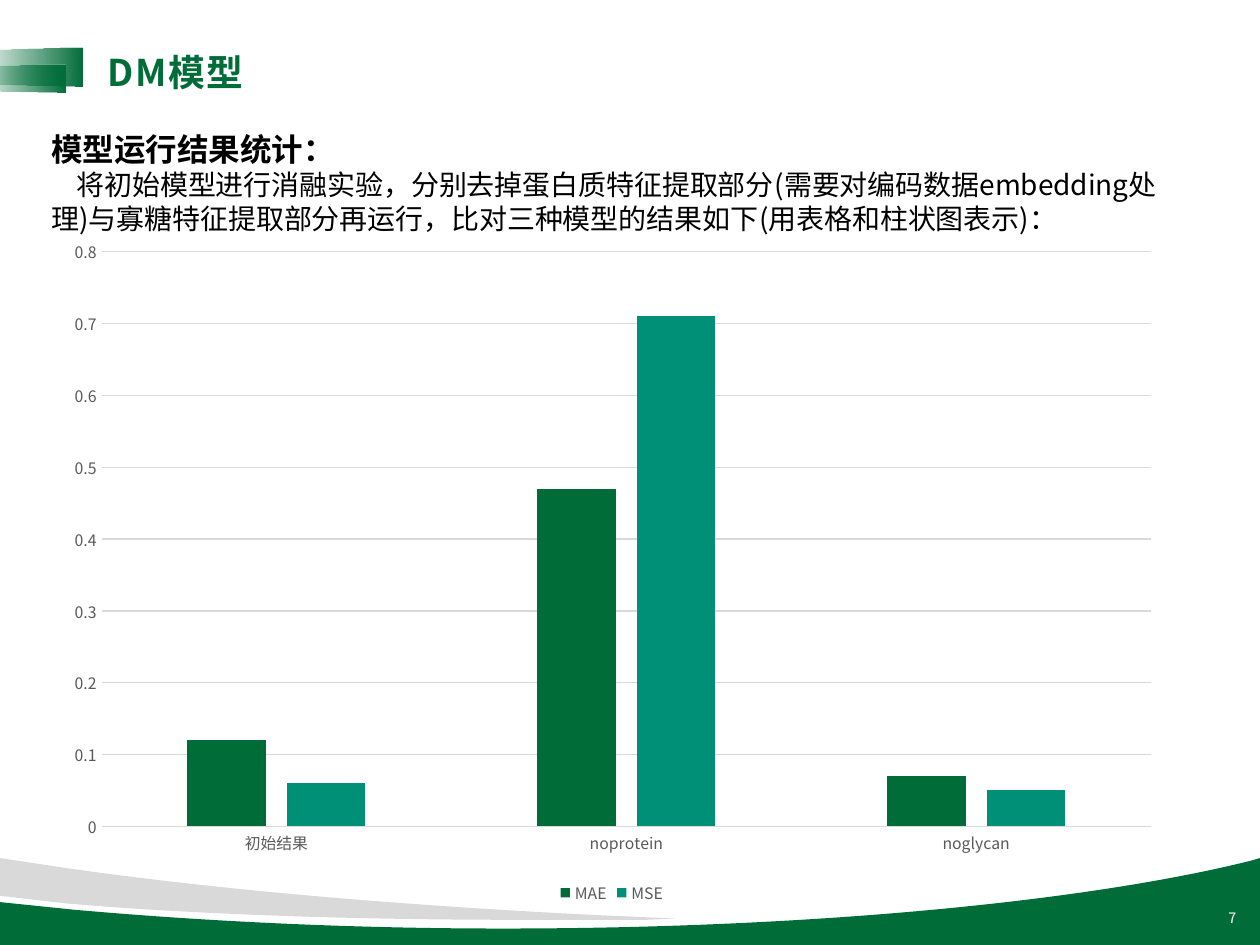
from lxml import etree
from pptx import Presentation
from pptx.chart import data
from pptx.dml import color
from pptx.enum import chart as kinds, shapes, text
from pptx.oxml import ns, parse_xml
from pptx.util import Pt

GREEN = color.RGBColor(0x00, 0x6D, 0x39)
TEAL = color.RGBColor(0x00, 0x8F, 0x77)
SILVER = color.RGBColor(0xD9, 0xD9, 0xD9)
GREY = color.RGBColor(0x59, 0x59, 0x59)
BLACK = color.RGBColor(0, 0, 0)
WHITE = color.RGBColor(255, 255, 255)
FONT = "Noto Sans CJK SC"
WIDTH, HEIGHT = 720, 540


def add_wave(page, outline, fill):
    """Draw a closed wave from straight (one-point) and curved (three-point) parts."""
    points = [(Pt(x), Pt(y)) for part in outline for x, y in part]
    builder = page.shapes.build_freeform(*points[0])
    builder.add_line_segments(points[1:], close=True)
    wave = builder.convert_to_shape()
    wave.shadow.inherit = False
    wave.fill.solid()
    wave.fill.fore_color.rgb = fill
    wave.line.fill.background()
    segments = iter(list(wave._element.iter(ns.qn("a:lnTo"))))
    for part in outline[1:]:
        group = [next(segments) for _ in part]
        if len(part) == 3:
            curve = etree.Element(ns.qn("a:cubicBezTo"))
            group[0].addprevious(curve)
            for segment in group:
                curve.append(segment[0])
                segment.getparent().remove(segment)


def add_footer_waves(page, width, height):
    """Draw the green and silver waves along the foot of the page."""
    add_wave(page, [
        [(width, 490.3)], [(width, height)], [(0, height)], [(0, 515.5)], [(41.8, 519.8)],
        [(114.5, 526.3), (198.7, 530.6), (287.3, 530.6)],
        [(465.8, 530.6), (622.8, 514.8), (715, 491.8)]], GREEN)
    add_wave(page, [
        [(0, 490.3)], [(38.2, 496.1)], [(123.8, 508.3), (224.6, 517), (336.2, 522.7)],
        [(385.9, 524.9)], [(369.4, 525.6)], [(345.6, 525.6), (321.1, 525.6), (295.9, 525.6)],
        [(195.1, 525.6), (103.7, 522), (37.4, 516.2)], [(0, 511.9)]], SILVER)


def add_fading_tab(page, left, top, width, height):
    """Place a turned trapezoid that fades out towards the left."""
    tab = page.shapes.add_shape(shapes.MSO_SHAPE.TRAPEZOID, Pt(left), Pt(top),
                                Pt(width), Pt(height))
    tab.rotation = 270
    tab.adjustments[0] = 0.072
    tab.shadow.inherit = False
    tab.line.fill.background()
    gradient = parse_xml(
        f'<a:gradFill {ns.nsdecls("a")} rotWithShape="1"><a:gsLst>'
        f'<a:gs pos="0"><a:srgbClr val="{GREEN}"><a:alpha val="0"/></a:srgbClr></a:gs>'
        f'<a:gs pos="100000"><a:srgbClr val="{GREEN}"/></a:gs>'
        '</a:gsLst><a:lin ang="5400000" scaled="0"/></a:gradFill>')
    tab._element.spPr.find(ns.qn("a:prstGeom")).addnext(gradient)


def add_box(page, left, top, width, height, anchor=text.MSO_ANCHOR.TOP):
    """Add a wrapping text box and return its frame."""
    box = page.shapes.add_textbox(Pt(left), Pt(top), Pt(width), Pt(height))
    box.text_frame.word_wrap = True
    box.text_frame.vertical_anchor = anchor
    return box.text_frame


def add_span(para, words, size, fill, bold=False):
    """Add one styled run and return it."""
    span = para.add_run()
    span.text = words
    span.font.size = Pt(size)
    span.font.bold = bold
    span.font.name = FONT
    span.font.color.rgb = fill
    etree.SubElement(span.font._element, ns.qn("a:ea")).set("typeface", FONT)
    return span


def add_title(page, left, top, width, height):
    """Write the letter-spaced page title."""
    para = add_box(page, left, top, width, height).paragraphs[0]
    span = add_span(para, "DM模型", 21, GREEN, True)
    span.font._element.set("spc", "100")


def add_page_number(page, left, top, width, height):
    """Write the page number at the right of the footer."""
    frame = add_box(page, left, top, width, height, text.MSO_ANCHOR.MIDDLE)
    para = frame.paragraphs[0]
    para.alignment = text.PP_ALIGN.RIGHT
    add_span(para, "7", 8.2, WHITE)


def add_summary(page, left, top, width, height):
    """Write the heading and the indented paragraph above the chart."""
    frame = add_box(page, left, top, width, height)
    add_span(frame.paragraphs[0], "模型运行结果统计：", 18, BLACK, True)
    para = frame.add_paragraph()
    para._p.get_or_add_pPr().set("indent", str(Pt(14.3)))
    add_span(para, "将初始模型进行消融实验，分别去掉蛋白质特征提取部分(需要对编码数据embedding处理)"
                   "与寡糖特征提取部分再运行，比对三种模型的结果如下(用表格和柱状图表示)：", 16, BLACK)


def style_font(font, size, fill):
    """Set the font of a chart part."""
    font.name = FONT
    font.size = Pt(size)
    font.color.rgb = fill


def add_error_chart(page, left, top, width, height):
    """Add the column chart of both errors for the three models."""
    table = data.CategoryChartData()
    table.categories = ["初始结果", "noprotein", "noglycan"]
    table.add_series("MAE", (0.12, 0.47, 0.07))
    table.add_series("MSE", (0.06, 0.71, 0.05))
    chart = page.shapes.add_chart(kinds.XL_CHART_TYPE.COLUMN_CLUSTERED, Pt(left), Pt(top),
                                  Pt(width), Pt(height), table).chart
    style_font(chart.font, 10, BLACK)
    chart.has_title = False
    chart.has_legend = True
    chart.legend.position = kinds.XL_LEGEND_POSITION.BOTTOM
    chart.legend.include_in_layout = False
    style_font(chart.legend.font, 9, GREY)
    plot = chart.plots[0]
    plot.gap_width, plot.overlap, plot.vary_by_categories = 219, -27, False
    for series, fill in zip(plot.series, (GREEN, TEAL)):
        series.format.fill.solid()
        series.format.fill.fore_color.rgb = fill
    for axis in (chart.category_axis, chart.value_axis):
        axis.major_tick_mark = axis.minor_tick_mark = kinds.XL_TICK_MARK.NONE
        style_font(axis.tick_labels.font, 9, GREY)
    values = chart.value_axis
    values.minimum_scale, values.maximum_scale, values.major_unit = 0, 0.8, 0.1
    values.format.line.fill.background()
    for line in (chart.category_axis.format.line, values.major_gridlines.format.line):
        line.color.rgb = SILVER
        line.width = Pt(0.75)
    area = chart._chartSpace.chart.plotArea
    for layout in area.findall(ns.qn("c:layout")):
        area.remove(layout)
    places = "".join(f'<c:{name} val="{value}"/>' for name, value in (
        ("layoutTarget", "inner"), ("xMode", "edge"), ("yMode", "edge"),
        ("x", 0.045), ("y", 0.036), ("w", 0.936), ("h", 0.843)))
    area.insert(0, parse_xml(f'<c:layout {ns.nsdecls("c")}><c:manualLayout>{places}'
                             '</c:manualLayout></c:layout>'))


def main():
    """Build the page and save the deck."""
    deck = Presentation()
    deck.slide_width, deck.slide_height = Pt(WIDTH), Pt(HEIGHT)
    page = deck.slides.add_slide(deck.slide_layouts[6])
    add_footer_waves(page, WIDTH, HEIGHT)
    add_fading_tab(page, 4.3, 6.5, 22.3, 63.4)
    add_fading_tab(page, 3.4, 18.7, 15.8, 52.6)
    add_title(page, 54.3, 24.9, 391.7, 32.4)
    add_page_number(page, 551.5, 509.8, 162, 28.8)
    add_summary(page, 22.3, 70.6, 663.8, 87.1)
    add_error_chart(page, 29.2, 129.9, 640.8, 389.5)
    deck.save("out.pptx")


if __name__ == "__main__":
    main()
